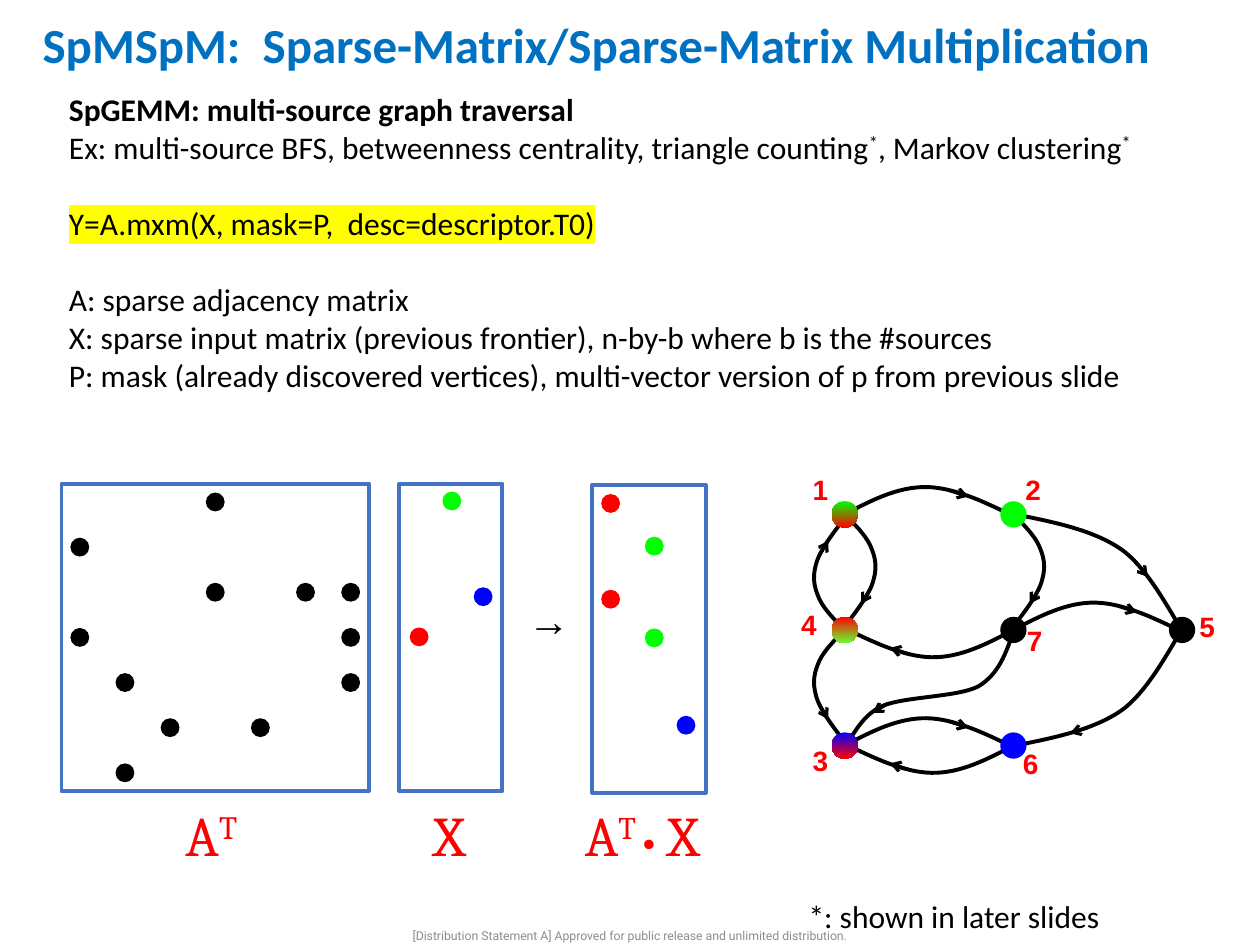
from lxml.etree import SubElement
from pptx import Presentation
from pptx.dml.color import RGBColor
from pptx.enum.shapes import MSO_CONNECTOR, MSO_SHAPE
from pptx.enum.text import MSO_ANCHOR, PP_ALIGN
from pptx.oxml.ns import qn
from pptx.util import Cm, Pt


class Theme:
    black, red, green, blue = "000000", "FF0000", "00FF00", "0000FF"
    lime, frame, title, footer, highlight = "66FF33", "4472C4", "0070C0", "8C8C8C", "FFFF00"
    body_font, math_font, label_font, footer_font = "Calibri", "Cambria", "Arial", "Roboto"
    title_size, body_size, math_size, arrow_size, label_size, footer_size = 28, 18, 32, 24, 16, 7
    edge_width, head_width = 2.25, 1.75


# Content: a span is (text, options)
TITLE = "SpMSpM:  Sparse-Matrix/Sparse-Matrix Multiplication"
FOOTER = "[Distribution Statement A] Approved for public release and unlimited distribution."
FOOTNOTE = "*: shown in later slides"
STAR = ("*", {"baseline": 30})
BODY = [  # spans, bold, space before in points
    ([("SpGEMM: multi-source graph traversal", {})], True, 0),
    ([("Ex: multi-source BFS, betweenness centrality, triangle counting", {}), STAR,
      (", Markov clustering", {}), STAR], False, 0),
    ([("Y=A.mxm(X, mask=P,  desc=descriptor.T0)", {"highlight": True})], False, 22),
    ([("A: sparse adjacency matrix", {})], False, 22),
    ([("X: sparse input matrix (previous frontier), n-by-b where b is the #sources", {})], False, 0),
    ([("P: mask (already discovered vertices), multi-vector version of p from previous slide", {})],
     False, 0),
]
A_TRANSPOSE = [("A", {}), ("T", {"baseline": 30})]
PRODUCT = [("A", {}), ("T ", {"size": 31, "baseline": 31}),
           ("•", {"size": 20, "font": Theme.label_font}), (" ", {"size": 31}), ("X", {})]

# Matrices, in centimetres
FRAMES = [(1.24, 9.75, 6.2, 6.2), (8.05, 9.75, 2.08, 6.2), (11.94, 9.78, 2.29, 6.2)]
DOT, PITCH, A_LEFT, A_TOP = 0.38, 0.91, 1.42, 9.93
A_CELLS = [(3, 0), (0, 1), (3, 2), (5, 2), (6, 2), (0, 3), (6, 3),
           (1, 4), (6, 4), (2, 5), (4, 5), (1, 6)]
SOURCE_DOTS = [  # X, then the product
    (8.92, 9.91, Theme.green), (9.55, 11.84, Theme.blue), (8.26, 12.65, Theme.red),
    (12.12, 9.96, Theme.red), (12.12, 11.89, Theme.red), (13.64, 14.43, Theme.blue),
    (13, 10.82, Theme.green), (13, 12.67, Theme.green),
]

# Graph: nodes are column, row, colours, label corner
NODE, NODE_LEFT, NODE_TOP, COLUMN, ROW = 0.53, 17.03, 10.37, 3.4, 2.33
NODES = {
    1: (0, 0, (Theme.green, Theme.red), (16.28, 9.53)),
    2: (1, 0, (Theme.green,), (20.57, 9.53)),
    3: (0, 2, (Theme.blue, Theme.red), (16.28, 14.99)),
    4: (0, 1, (Theme.red, Theme.lime), (16.05, 12.24)),
    5: (2, 1, (Theme.black,), (24.08, 12.29)),
    6: (1, 2, (Theme.blue,), (20.52, 15.06)),
    7: (1, 1, (Theme.black,), (20.6, 12.57)),
}
# Curve control points, relative to the anchor node
ARCH = [(0.53, -0.28), (1.07, -0.56), (1.65, -0.55), (2.21, -0.54), (2.82, -0.25), (3.43, 0.05)]
SIDE = [(0.2, 0.2), (0.41, 0.41), (0.51, 0.62), (0.61, 0.84), (0.66, 1.04), (0.58, 1.32),
        (0.51, 1.6), (0.25, 1.93), (0, 2.26)]
SWEEP = [(-0.2, 0.28), (-0.66, 1.22), (-1.22, 1.62), (-1.78, 2.01), (-2.56, 2.17), (-3.36, 2.33)]
HOOK = [(0.13, -0.1), (0.3, -0.58), (0.74, -0.79), (1.19, -0.99), (2.24, -0.97), (2.69, -1.19),
        (3.12, -1.45), (3.25, -1.88), (3.4, -2.29)]
ARCH_HEAD = [(2.11, -0.48), (2.49, -0.36)]
SIDE_HEAD = [(0.53, 1.47), (0.33, 1.8)]
EDGES = [  # anchor node, horizontal and vertical flip, curve, arrowhead
    (1, 1, 1, ARCH, ARCH_HEAD), (7, 1, 1, ARCH, ARCH_HEAD), (3, 1, 1, ARCH, ARCH_HEAD),
    (6, -1, -1, ARCH, ARCH_HEAD), (7, -1, -1, ARCH, ARCH_HEAD),
    (1, 1, 1, SIDE, SIDE_HEAD), (2, 1, 1, SIDE, SIDE_HEAD),
    (4, -1, -1, SIDE, SIDE_HEAD), (4, -1, 1, SIDE, SIDE_HEAD),
    (5, 1, 1, SWEEP, [(-1.88, 1.96), (-2.26, 2.08)]),
    (5, 1, -1, SWEEP, [(-0.94, 1.37), (-0.69, 1.07)]),
    (3, 1, 1, HOOK, [(0.89, -0.86), (0.56, -0.66)]),
]

deck = Presentation()
deck.slide_width, deck.slide_height = Cm(25.4), Cm(19.05)
page = deck.slides.add_slide(deck.slide_layouts[6])


def color(value):
    return RGBColor.from_string(value)


def add_text(place, paragraphs, font, size, ink, align=PP_ALIGN.LEFT, wrap=True,
             insets=(0.25, 0.13, 0.25, 0.13), anchor=MSO_ANCHOR.TOP, spacing=None):
    frame = page.shapes.add_textbox(*map(Cm, place)).text_frame
    frame.word_wrap, frame.vertical_anchor = wrap, anchor
    (frame.margin_left, frame.margin_top,
     frame.margin_right, frame.margin_bottom) = map(Cm, insets)
    for index, (spans, bold, before) in enumerate(paragraphs):
        para = frame.add_paragraph() if index else frame.paragraphs[0]
        para.alignment = align
        if spacing:
            para.line_spacing = spacing
        if before:
            para.space_before = Pt(before)
        para.font.name, para.font.size, para.font.bold = font, Pt(size), bold
        para.font.color.rgb = color(ink)
        for text, options in spans:
            span = para.add_run()
            span.text = text
            if "size" in options:
                span.font.size = Pt(options["size"])
            if "font" in options:
                span.font.name = options["font"]
            properties = span._r.get_or_add_rPr()
            if "baseline" in options:
                properties.set("baseline", str(options["baseline"] * 1000))
            if "highlight" in options:
                mark = SubElement(properties, qn("a:highlight"))
                SubElement(mark, qn("a:srgbClr")).set("val", Theme.highlight)


def add_line_of_text(place, text, *style, bold=False, **options):
    spans = [(text, {})] if isinstance(text, str) else text
    add_text(place, [(spans, bold, 0)], *style, **options)


def add_ellipse(left, top, size, colors):
    shape = page.shapes.add_shape(MSO_SHAPE.OVAL, Cm(left), Cm(top), Cm(size), Cm(size))
    shape.shadow.inherit = False
    shape.line.fill.background()
    if len(colors) == 1:
        shape.fill.solid()
        shape.fill.fore_color.rgb = color(colors[0])
    else:
        shape.fill.gradient()
        shape.fill.gradient_angle = 270
        for stop, value in zip(shape.fill.gradient_stops, colors):
            stop.color.rgb = color(value)


def outline(shape, ink, width):
    shape.line.color.rgb, shape.line.width = color(ink), Pt(width)


def add_curve(points):
    """Draw a freeform, joining each three line points into one Bézier segment."""
    start, *rest = [(Cm(x), Cm(y)) for x, y in points]
    builder = page.shapes.build_freeform(*start, scale=1.0)
    builder.add_line_segments(rest, close=False)
    shape = builder.convert_to_shape()
    shape.shadow.inherit = False
    shape.fill.background()
    outline(shape, Theme.black, Theme.edge_width)
    outline_path = next(shape._element.iter(qn("a:path")))
    segments = outline_path.findall(qn("a:lnTo"))
    for index in range(0, len(segments), 3):
        bezier = SubElement(outline_path, qn("a:cubicBezTo"))
        for segment in segments[index:index + 3]:
            bezier.append(segment[0])
            outline_path.remove(segment)


def add_arrowhead(start, end):
    arrow = page.shapes.add_connector(MSO_CONNECTOR.STRAIGHT, *map(Cm, start + end))
    outline(arrow, Theme.black, Theme.head_width)
    SubElement(arrow.line._get_or_add_ln(), qn("a:tailEnd")).set("type", "arrow")
    SubElement(arrow._element.spPr, qn("a:effectLst"))


def node_center(name):
    column, row = NODES[name][:2]
    return NODE_LEFT + column * COLUMN, NODE_TOP + row * ROW


# Title, body and notes
add_line_of_text((7.87, 18.67, 9.65, 0.38), FOOTER, Theme.footer_font, Theme.footer_size,
                 Theme.footer, align=PP_ALIGN.CENTER, insets=(0, 0, 0, 0), anchor=MSO_ANCHOR.MIDDLE)
add_line_of_text((0.61, -0.28, 24.79, 2.46), TITLE, Theme.body_font, Theme.title_size, Theme.title,
                 bold=True, anchor=MSO_ANCHOR.MIDDLE, spacing=0.9)
add_text((1.14, 1.68, 23.95, 7.95), BODY, Theme.body_font, Theme.body_size, Theme.black)
add_line_of_text((16.05, 17.96, 9.35, 1.02), FOOTNOTE, Theme.body_font, Theme.body_size, Theme.black)

# Matrices
for place in FRAMES:
    box = page.shapes.add_shape(MSO_SHAPE.RECTANGLE, *map(Cm, place))
    box.shadow.inherit = False
    box.fill.background()
    outline(box, Theme.frame, Theme.edge_width)
for column, row in A_CELLS:
    add_ellipse(A_LEFT + column * PITCH, A_TOP + row * PITCH, DOT, (Theme.black,))
for left, top, ink in SOURCE_DOTS:
    add_ellipse(left, top, DOT, (ink,))

# Formula captions
formula = (Theme.math_font, Theme.math_size, Theme.red)
add_line_of_text((3.23, 16, 1.8, 1.63), A_TRANSPOSE, *formula, align=PP_ALIGN.RIGHT, wrap=False)
add_line_of_text((8.48, 16, 1.35, 1.63), "X", *formula, wrap=False)
add_line_of_text((11.48, 16.13, 3.43, 1.37), PRODUCT, *formula, wrap=False, insets=(0.31, 0, 0.1, 0))
add_line_of_text((10.54, 11.99, 0.94, 1.02), "→", Theme.label_font, Theme.arrow_size, Theme.black,
                 wrap=False, insets=(0.1, 0, 0.1, 0))

# Graph edges, nodes and labels
for anchor_node, flip_x, flip_y, curve, head in EDGES:
    x, y = node_center(anchor_node)
    points, ends = ([(x + flip_x * dx, y + flip_y * dy) for dx, dy in part]
                    for part in ([(0, 0)] + curve, head))
    add_curve(points)
    add_arrowhead(*ends)
for name, (_, _, colors, corner) in NODES.items():
    x, y = node_center(name)
    add_ellipse(x - NODE / 2, y - NODE / 2, NODE, colors)
    add_line_of_text(corner + (0.43, 0.69), str(name), Theme.label_font, Theme.label_size, Theme.red,
                     bold=True, wrap=False, insets=(0.1, 0, 0.1, 0))

deck.save("out.pptx")
